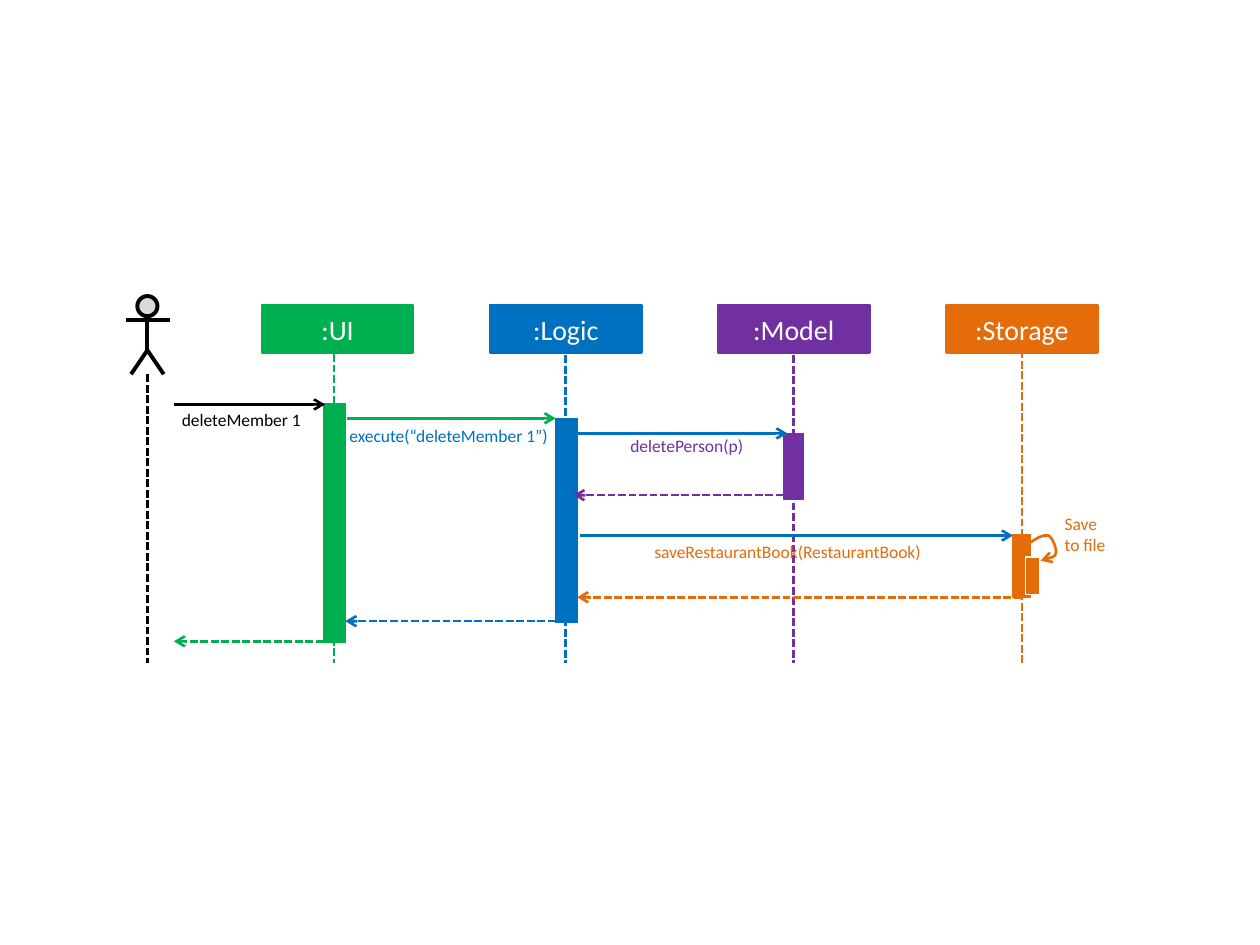
from lxml import etree
from pptx import Presentation
from pptx import util as u
from pptx.dml.color import RGBColor
from pptx.enum import dml, shapes, text
from pptx.oxml.ns import qn

PX = 9144  # EMU per px, 100 px to the inch
FONT = "Calibri"
BLACK = RGBColor(0x00, 0x00, 0x00)
WHITE = RGBColor(0xFF, 0xFF, 0xFF)
GREY = RGBColor(0xD9, 0xD9, 0xD9)
GREEN = RGBColor(0x00, 0xB0, 0x50)
BLUE = RGBColor(0x00, 0x70, 0xC0)
PURPLE = RGBColor(0x70, 0x30, 0xA0)
ORANGE = RGBColor(0xE4, 0x6C, 0x0A)

HEADER_TOP, HEADER_WIDTH, HEADER_HEIGHT = 242, 120, 38
LIFELINE_BOTTOM = 526

# name, colour, header left, lifeline x and top, activation bar (left, top, width, height)
PARTICIPANTS = [
    (":UI", GREEN, 208, 265, 281, (257, 320, 17, 190)),
    (":Logic", BLUE, 389, 449, 282, (441, 332, 17, 162)),
    (":Model", PURPLE, 570, 630, 282, (622, 344, 16, 52)),
    (":Storage", ORANGE, 751, 811, 278, (804, 424, 14, 50)),
]
# from x, to x, y, colour, dashed
MESSAGES = [
    (138, 258, 321, BLACK, False),
    (275, 441, 332, GREEN, False),
    (457, 625, 344, BLUE, False),
    (622, 455, 393, PURPLE, True),
    (460, 804, 425, BLUE, False),
    (811, 458, 474, ORANGE, True),
    (441, 274, 493, BLUE, True),
    (257, 138, 509, GREEN, True),
]
# words, colour, box (left, top, width, height)
LABELS = [
    ("deleteMember 1", BLACK, (133, 325, 117, 17)),
    ("execute(“deleteMember 1”)", BLUE, (271, 337, 170, 17)),
    ("deletePerson(p)", PURPLE, (478, 345, 134, 17)),
    ("saveRestaurantBook(RestaurantBook)", ORANGE, (490, 429, 270, 17)),
]


def px(*lengths):
    return [length * PX for length in lengths]


def add_arrowhead(shape):
    line = shape.element.spPr.find(qn("a:ln"))
    etree.SubElement(line, qn("a:tailEnd"), type="arrow")


def add_line(parent, start, end, color, weight=1.5, dashed=False, arrow=False):
    connector = parent.add_connector(
        shapes.MSO_CONNECTOR.STRAIGHT, *px(*start, *end))
    connector.line.color.rgb = color
    connector.line.width = u.Pt(weight)
    if dashed:
        connector.line.dash_style = dml.MSO_LINE.SQUARE_DOT
    if arrow:
        add_arrowhead(connector)
    etree.SubElement(connector.element.spPr, qn("a:effectLst"))


def add_block(parent, box, fill, outline, weight,
              kind=shapes.MSO_SHAPE.RECTANGLE):
    shape = parent.add_shape(kind, *px(*box))
    shape.shadow.inherit = False
    shape.fill.solid()
    shape.fill.fore_color.rgb = fill
    shape.line.color.rgb = outline
    shape.line.width = u.Pt(weight)
    return shape


def add_open_outline(parent, points, color, weight):
    builder = parent.build_freeform(*points[0], scale=PX)
    builder.add_line_segments(points[1:], close=False)
    shape = builder.convert_to_shape()
    shape.shadow.inherit = False
    shape.fill.background()
    shape.line.color.rgb = color
    shape.line.width = u.Pt(weight)
    return shape


def bend(shape):
    """Turn each three straight segments into one Bézier segment."""
    segments = list(shape.element.iter(qn("a:lnTo")))
    for first, second, third in zip(*[iter(segments)] * 3):
        first.tag = qn("a:cubicBezTo")
        for segment in (second, third):
            first.append(segment[0])
            segment.getparent().remove(segment)


def write(frame, words, size, color, align):
    frame.text = words
    for paragraph in frame.paragraphs:
        paragraph.alignment = align
        for run in paragraph.runs:
            run.font.name = FONT
            run.font.size = u.Pt(size)
            run.font.color.rgb = color


def add_label(slide, words, color, box, align=text.PP_ALIGN.CENTER):
    frame = slide.shapes.add_textbox(*px(*box)).text_frame
    frame.margin_left = frame.margin_right = 0
    frame.margin_top = frame.margin_bottom = 0
    frame.word_wrap = True
    frame.auto_size = text.MSO_AUTO_SIZE.SHAPE_TO_FIT_TEXT
    write(frame, words, 10, color, align)


def add_participant(slide, name, color, left, axis, lifeline_top, bar):
    header = add_block(slide.shapes,
                       (left, HEADER_TOP, HEADER_WIDTH, HEADER_HEIGHT),
                       color, color, 1.5)
    header.text_frame.vertical_anchor = text.MSO_ANCHOR.MIDDLE
    write(header.text_frame, name, 16, WHITE, text.PP_ALIGN.CENTER)
    add_line(slide.shapes, (axis, lifeline_top), (axis, LIFELINE_BOTTOM),
             color, dashed=True)
    add_block(slide.shapes, bar, color, color, 0.75)


def add_actor(slide, left, top, width, height):
    """Stick figure with its lifeline."""
    figure = slide.shapes.add_group_shape().shapes
    axis, bottom, hip = left + width // 2, top + height, top + 43
    add_block(figure, (axis - 8, top, 16, 16), GREY, BLACK, 2.25,
              shapes.MSO_SHAPE.FLOWCHART_CONNECTOR)
    add_line(figure, (axis, top + 15), (axis, hip), BLACK, 2.25)
    add_open_outline(
        figure, [(axis - 13, bottom), (axis, hip), (axis + 13, bottom)],
        BLACK, 2.25)
    add_line(figure, (left, top + 19), (left + width, top + 19), BLACK, 2.25)
    add_line(slide.shapes, (axis, bottom), (axis, LIFELINE_BOTTOM), BLACK,
             dashed=True)


def add_self_call(slide, left, top):
    """Looping arrow, nested activation bar and their label."""
    group = slide.shapes.add_group_shape().shapes
    offsets = [(3, 7), (9, 3), (14, 0), (18, 1), (21, 2), (25, 12), (24, 15),
               (23, 18), (18, 20), (12, 21)]
    loop = add_open_outline(group, [(left + x, top + y) for x, y in offsets],
                            ORANGE, 1.5)
    bend(loop)
    add_arrowhead(loop)
    add_block(group, (left, top + 18, 11, 30), ORANGE, WHITE, 0.75)
    add_label(slide, "Save \vto file", ORANGE, (left + 31, top - 17, 59, 34),
              text.PP_ALIGN.LEFT)


def main():
    presentation = Presentation()
    presentation.slide_width, presentation.slide_height = px(1000, 750)
    slide = presentation.slides.add_slide(presentation.slide_layouts[6])

    add_actor(slide, 100, 235, 35, 62)
    for participant in PARTICIPANTS:
        add_participant(slide, *participant)
    for start, end, y, color, dashed in MESSAGES:
        add_line(slide.shapes, (start, y), (end, y), color,
                 dashed=dashed, arrow=True)
    for label in LABELS:
        add_label(slide, *label)
    add_self_call(slide, 814, 424)

    presentation.save("out.pptx")


if __name__ == "__main__":
    main()
